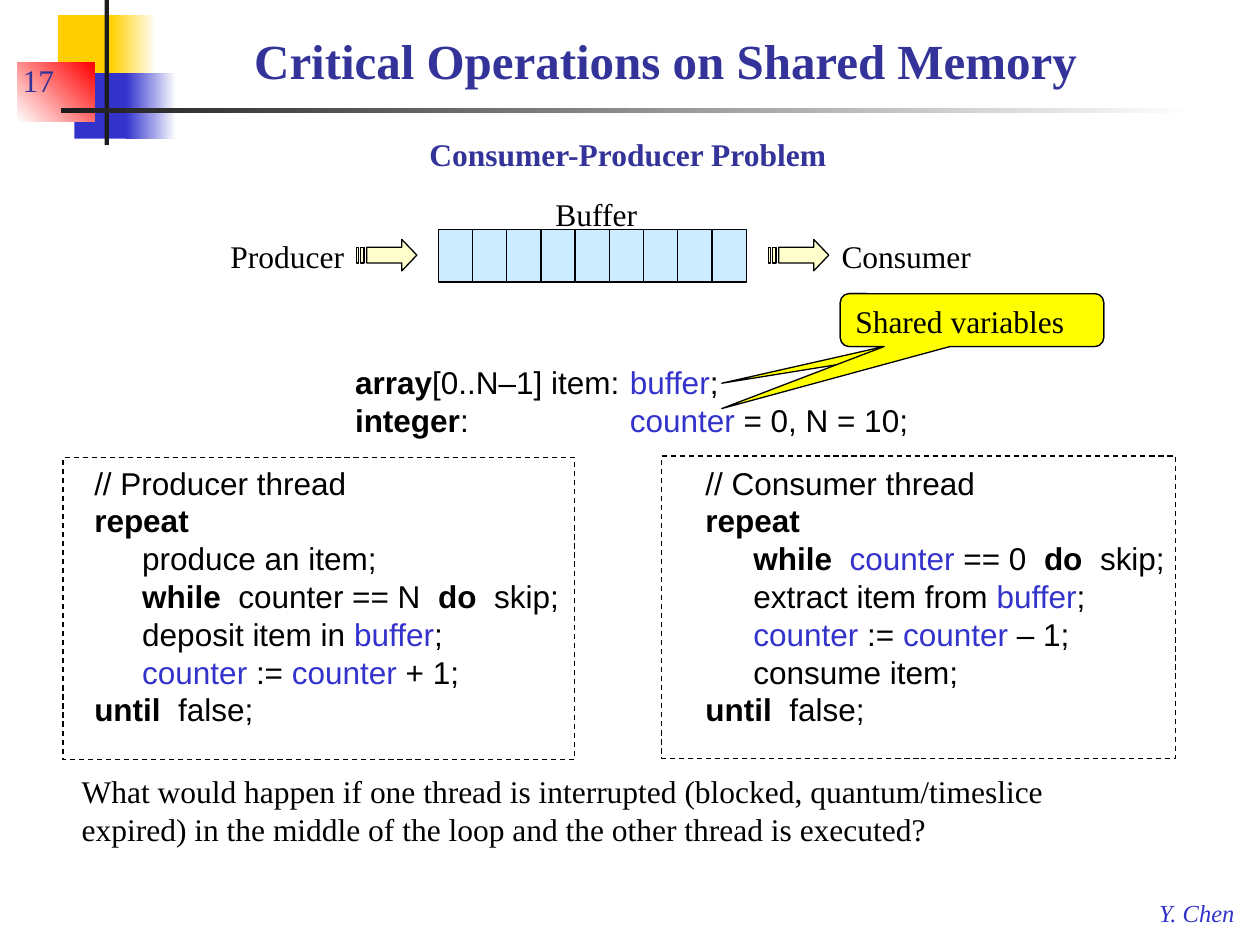
from lxml import etree
from pptx import Presentation
from pptx import util as u
from pptx.dml import color
from pptx.enum import dml, shapes, text
from pptx.oxml import ns

HEX = {
    "black": "000000", "white": "FFFFFF", "ink": "1C1C1C", "gold": "FFCF01",
    "blue": "3333CC", "navy": "333399", "red": "FF0000", "sky": "CCECFF",
    "cream": "FFFFCC", "yellow": "FFFF00",
}
SERIF, SANS = "Times New Roman", "Arial"


def rgb(name):
    return color.RGBColor.from_string(HEX[name])


class Painter:
    """Holds the slide and its shared text and line style."""

    size = 18
    line_width = 0.75

    def __init__(self, slide):
        self.slide = slide

    def finish(self, shape, fill, outlined, dashed=False):
        shape.shadow.inherit = False
        shape.fill.solid()
        shape.fill.fore_color.rgb = rgb(fill)
        if outlined:
            shape.line.color.rgb = rgb("black")
            shape.line.width = u.Pt(self.line_width)
            if dashed:
                shape.line.dash_style = dml.MSO_LINE.DASH
        else:
            shape.line.fill.background()
        return shape

    def block(self, box, fill, outlined=False, dashed=False,
              kind=shapes.MSO_SHAPE.RECTANGLE):
        shape = self.slide.shapes.add_shape(kind, *map(u.Pt, box))
        return self.finish(shape, fill, outlined, dashed)

    def fade(self, box, start, end, angle=0):
        shape = self.block(box, start)
        shape.fill.gradient()
        shape.fill.gradient_angle = angle
        for stop, name, place in zip(shape.fill.gradient_stops, (start, end), (0, 1)):
            stop.color.rgb = rgb(name)
            stop.position = place

    def outline(self, contours, fill):
        first, *others = [[(u.Pt(x), u.Pt(y)) for x, y in c] for c in contours]
        builder = self.slide.shapes.build_freeform(*first[0])
        builder.add_line_segments(first[1:], close=True)
        for contour in others:
            builder.move_to(*contour[0])
            builder.add_line_segments(contour[1:], close=True)
        self.finish(builder.convert_to_shape(), fill, True)

    def set_lines(self, frame, lines, font=SERIF, size=None, ink="black",
                  bold=False, italic=False, tab=None, leading=None):
        """Each line is a list of plain strings and (text, role) pairs."""
        for i, line in enumerate(lines):
            par = frame.add_paragraph() if i else frame.paragraphs[0]
            par.alignment = text.PP_ALIGN.LEFT
            if leading:
                par.line_spacing = u.Pt(leading)
            if tab:
                stops = etree.SubElement(par._p.get_or_add_pPr(), ns.qn("a:tabLst"))
                etree.SubElement(stops, ns.qn("a:tab"), pos=str(u.Pt(tab)), algn="l")
            for part in line:
                words, role = (part, "") if isinstance(part, str) else part
                run = par.add_run()
                run.text = words
                run.font.name = font
                run.font.size = u.Pt(size or self.size)
                run.font.bold = bold or role == "key"
                run.font.italic = italic
                run.font.color.rgb = rgb("blue" if role == "shared" else ink)

    def label(self, box, lines, wrap=False, anchor=text.MSO_ANCHOR.TOP, **style):
        frame = self.slide.shapes.add_textbox(*map(u.Pt, box)).text_frame
        frame.word_wrap = wrap
        frame.vertical_anchor = anchor
        self.set_lines(frame, lines, **style)

    def code(self, box, lines, tab):
        self.label(box, lines, font=SANS, tab=tab, leading=21.6)

    def striped_arrow(self, x, y):
        top, bottom = y + 4.5, y + 13.5
        head = [(x + 25.8, y), (x + 25.8, top), (x + 5.8, top), (x + 5.8, bottom),
                (x + 25.8, bottom), (x + 25.8, y + 18), (x + 34.4, y + 9)]
        stripes = [[(x + a, top), (x + a, bottom), (x + b, bottom), (x + b, top)]
                   for a, b in ((2.2, 4.3), (0, 1.1))]
        self.outline([head, *stripes], "cream")

    def callout(self, box, tip, words):
        shape = self.block(box, "yellow", True,
                           kind=shapes.MSO_SHAPE.ROUNDED_RECTANGULAR_CALLOUT)
        for i, value in enumerate((*tip, 0.167)):
            shape.adjustments[i] = value
        shape.text_frame.vertical_anchor = text.MSO_ANCHOR.TOP
        self.set_lines(shape.text_frame, [[words]])


def main():
    deck = Presentation()
    deck.slide_width, deck.slide_height = u.Pt(720), u.Pt(540)
    art = Painter(deck.slides.add_slide(deck.slide_layouts[6]))
    bottom = text.MSO_ANCHOR.BOTTOM

    # Corner ornament and title rule
    art.block((33.1, 8.6, 34.6, 37.5), "gold")
    art.fade((63.4, 8.6, 25.9, 37.5), "gold", "white")
    art.block((42.5, 41.8, 33.1, 37.4), "blue")
    art.fade((72, 41.8, 28.8, 37.4), "blue", "white")
    art.fade((10, 36, 44, 33.5), "white", "red", 45)
    art.block((59.8, 0, 2.5, 82.8), "ink")
    art.fade((34.6, 62, 648, 2.4), "ink", "white")

    # Footer, page number and headings
    art.label((655.2, 509.8, 59, 23.8), [["Y. Chen"]], size=14, ink="blue", italic=True)
    art.label((5.8, 23.8, 149.8, 36), [["17"]], True, bottom, ink="navy")
    art.label((138.2, 5.8, 576, 49), [["Critical Operations on Shared Memory"]],
              True, bottom, size=28, ink="navy", bold=True)
    art.label((238.3, 73.4, 243.4, 28.8), [["Consumer-Producer Problem"]],
              ink="navy", bold=True)

    # Thread frames
    art.block((36, 261.4, 292.3, 172.8), "white", True, True)
    art.block((378, 260.6, 293.8, 172.8), "white", True, True)

    # Declarations and thread code
    buffer, counter = ("buffer", "shared"), ("counter", "shared")
    loop, wait, do, until = (("repeat", "key"), ("while", "key"),
                             ("do", "key"), ("until", "key"))
    art.code((195.8, 203.8, 339, 51), [
        [("array", "key"), "[0..N–1] item:\t", buffer, ";"],
        [("integer", "key"), ":\t", counter, " = 0, N = 10;"],
    ], 157)
    art.code((46.8, 261.4, 374.4, 158.4), [
        ["// Producer thread"],
        [loop],
        ["\tproduce an item;"],
        ["\t", wait, "  counter == N  ", do, "  skip;"],
        ["\tdeposit item in ", buffer, ";"],
        ["\t", counter, " := ", counter, " + 1;"],
        [until, "  false;"],
    ], 27.4)
    art.code((396, 261.4, 279.4, 159.8), [
        ["// Consumer thread"],
        [loop],
        ["\t", wait, "  ", counter, " == 0  ", do, "  skip;"],
        ["\textract item from ", buffer, ";"],
        ["\t", counter, " := ", counter, " – 1;"],
        ["\tconsume item;"],
        [until, "  false;"],
    ], 27.4)

    # Closing question
    art.label((39.6, 437.8, 632.2, 50.4), [[
        "What would happen if one thread is interrupted (blocked, quantum/timeslice  "
        "expired) in the middle of the loop and the other thread is executed?"]], True)

    # Buffer diagram
    cell = 19.55
    for slot in range(9):
        art.block((250.5 + slot * cell, 131, cell, 30.2), "sky", True)
    for x in (203.8, 439.2):
        art.striped_arrow(x, 136.8)
    art.label((124.6, 131.8, 79.2, 28.8), [["Producer"]])
    art.label((473.8, 131.8, 88.6, 28.8), [["Consumer"]])
    art.label((310.3, 108, 61.2, 28.8), [["Buffer"]])

    # One callout per shared variable
    for drop in (1.195, 1.675):
        art.callout((480.2, 167.8, 150.5, 30.2), (-0.95, drop), "Shared variables")

    deck.save("out.pptx")


if __name__ == "__main__":
    main()
